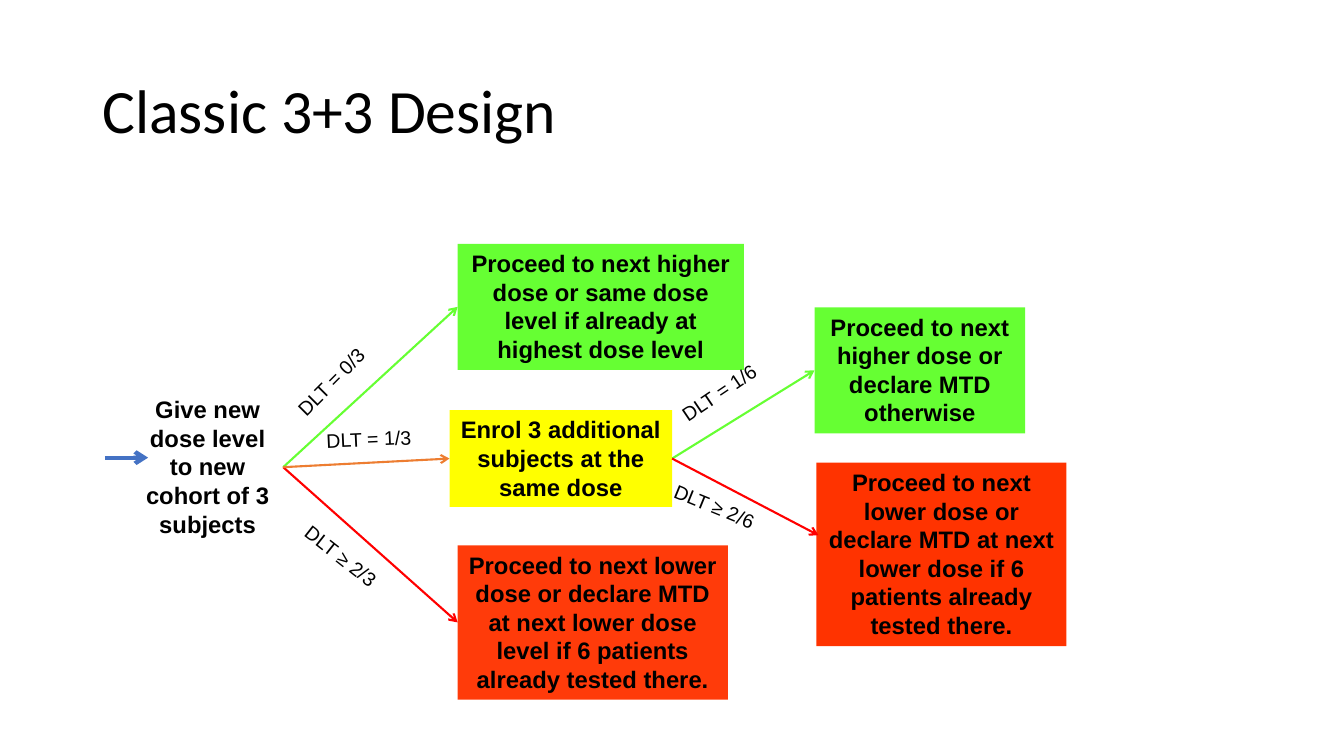
from collections import namedtuple

from lxml.etree import SubElement
from pptx import Presentation
from pptx.dml.color import RGBColor
from pptx.enum.shapes import MSO_CONNECTOR as Connector, MSO_SHAPE as Shape
from pptx.enum.text import MSO_ANCHOR as Anchor, MSO_AUTO_SIZE as AutoSize, PP_ALIGN as Align
from pptx.oxml.ns import qn
from pptx.util import Pt

BLACK = RGBColor(0x00, 0x00, 0x00)
WHITE = RGBColor(0xFF, 0xFF, 0xFF)
GREEN = RGBColor(0x66, 0xFF, 0x33)
YELLOW = RGBColor(0xFF, 0xFF, 0x00)
ORANGE = RGBColor(0xED, 0x7D, 0x31)
RED = RGBColor(0xFF, 0x00, 0x00)
VERMILION = RGBColor(0xFF, 0x33, 0x00)
BLUE = RGBColor(0x44, 0x72, 0xC4)

LEFT_SITE, RIGHT_SITE = 1, 3
LABEL_SIZE = (92.9, 28.8)

Outcome = namedtuple("Outcome", "text box fill opacity arrow arrow_end label label_at angle")

FIRST_OUTCOMES = [
    Outcome("Proceed to next higher dose or same dose level if already at highest dose level",
            (252.9, 0.2, 204.5, 90), GREEN, 100, GREEN, None,
            "DLT = 0/3", (124, 79.4), -45.1),
    Outcome("Proceed to next lower dose or declare MTD at next lower dose level "
            "if 6 patients already tested there.",
            (252.9, 215.5, 193, 110.2), VERMILION, 96, RED, None,
            "DLT ≥ 2/3", (129, 216.2), 38.1),
    Outcome("Enrol 3 additional subjects at the same dose",
            (247.1, 119, 159, 69.1), YELLOW, 100, ORANGE, None,
            "DLT = 1/3", (152.1, 127), -2.6),
]
SECOND_OUTCOMES = [
    Outcome("Proceed to next higher dose or declare MTD otherwise",
            (110.8, 0.6, 150.5, 90), GREEN, 100, GREEN, None,
            "DLT = 1/6", (4.9, 43.8), -34),
    Outcome("Proceed to next lower dose or declare MTD at next lower dose "
            "if 6 patients already tested there.",
            (112.2, 111.5, 178.6, 131), VERMILION, 100, RED, (113.6, 163.3),
            "DLT ≥ 2/6", (0.6, 133.8), 22.2),
]


def add_run(paragraph, text, size, font_name="Arial", bold=False):
    run = paragraph.add_run()
    run.text = text
    run.font.name = font_name
    run.font.size = Pt(size)
    run.font.bold = bold
    run.font.color.rgb = BLACK


def add_step(slide, origin, box, text, fill, opacity=100):
    left, top, width, height = box
    step = slide.shapes.add_shape(Shape.RECTANGLE, Pt(origin[0] + left), Pt(origin[1] + top),
                                  Pt(width), Pt(height))
    step.shadow.inherit = False
    step.fill.solid()
    step.fill.fore_color.rgb = fill
    step.line.fill.background()
    if opacity < 100:
        color = step.fill._xPr.find(qn("a:solidFill"))[0]
        SubElement(color, qn("a:alpha"), val=str(opacity * 1000))
    frame = step.text_frame
    frame.word_wrap = True
    frame.auto_size = AutoSize.SHAPE_TO_FIT_TEXT
    frame.vertical_anchor = Anchor.TOP
    frame.paragraphs[0].alignment = Align.CENTER
    add_run(frame.paragraphs[0], text, 17, bold=True)
    return step


def add_arrow(slide, start, end, color, width=1.5):
    arrow = slide.shapes.add_connector(Connector.STRAIGHT, *map(Pt, start + end))
    arrow.line.color.rgb = color
    arrow.line.width = Pt(width)
    SubElement(arrow.line._get_or_add_ln(), qn("a:tailEnd"), type="arrow")
    SubElement(arrow._element.spPr, qn("a:effectLst"))
    return arrow


def add_label(slide, origin, outcome):
    left, top = outcome.label_at
    label = slide.shapes.add_textbox(Pt(origin[0] + left), Pt(origin[1] + top),
                                     *map(Pt, LABEL_SIZE))
    label.rotation = outcome.angle
    label.text_frame.word_wrap = False
    label.text_frame.auto_size = AutoSize.SHAPE_TO_FIT_TEXT
    add_run(label.text_frame.paragraphs[0], outcome.label, 14)


def add_outcomes(slide, origin, source, outcomes):
    for outcome in outcomes:
        target = add_step(slide, origin, outcome.box, outcome.text, outcome.fill, outcome.opacity)
        left, top, _, height = outcome.box
        x, y = outcome.arrow_end or (left, top + height / 2)
        arrow = add_arrow(slide, (0, 0), (origin[0] + x, origin[1] + y), outcome.arrow)
        arrow.begin_connect(source, RIGHT_SITE)
        if not outcome.arrow_end:
            arrow.end_connect(target, LEFT_SITE)
        add_label(slide, origin, outcome)
    return target


def add_first_cohort(slide, origin):
    cohort = add_step(slide, origin, (20.3, 104.6, 108, 110.2),
                      "Give new dose level to new cohort of 3 subjects", WHITE)
    entry_y = origin[1] + 152.9
    add_arrow(slide, (origin[0] + 0.9, entry_y), (origin[0] + 31.8, entry_y), BLUE, 3)
    return add_outcomes(slide, origin, cohort, FIRST_OUTCOMES)


def add_title(slide, box):
    title = slide.shapes.title
    title.left, title.top, title.width, title.height = map(Pt, box)
    frame = title.text_frame
    frame.word_wrap = True
    frame.auto_size = AutoSize.NONE
    frame.vertical_anchor = Anchor.MIDDLE
    heading = frame.paragraphs[0]
    heading.alignment = Align.LEFT
    heading.line_spacing = 0.9
    add_run(heading, "Classic 3+3 Design", 44, "Calibri")


def main():
    deck = Presentation()
    deck.slide_width, deck.slide_height = Pt(960), Pt(540)
    slide = deck.slides.add_slide(deck.slide_layouts[5])
    add_title(slide, (66, 28.8, 828, 104.4))
    enrolment = add_first_cohort(slide, (74, 174))
    add_outcomes(slide, (471, 219), enrolment, SECOND_OUTCOMES)
    deck.save("out.pptx")


if __name__ == "__main__":
    main()
